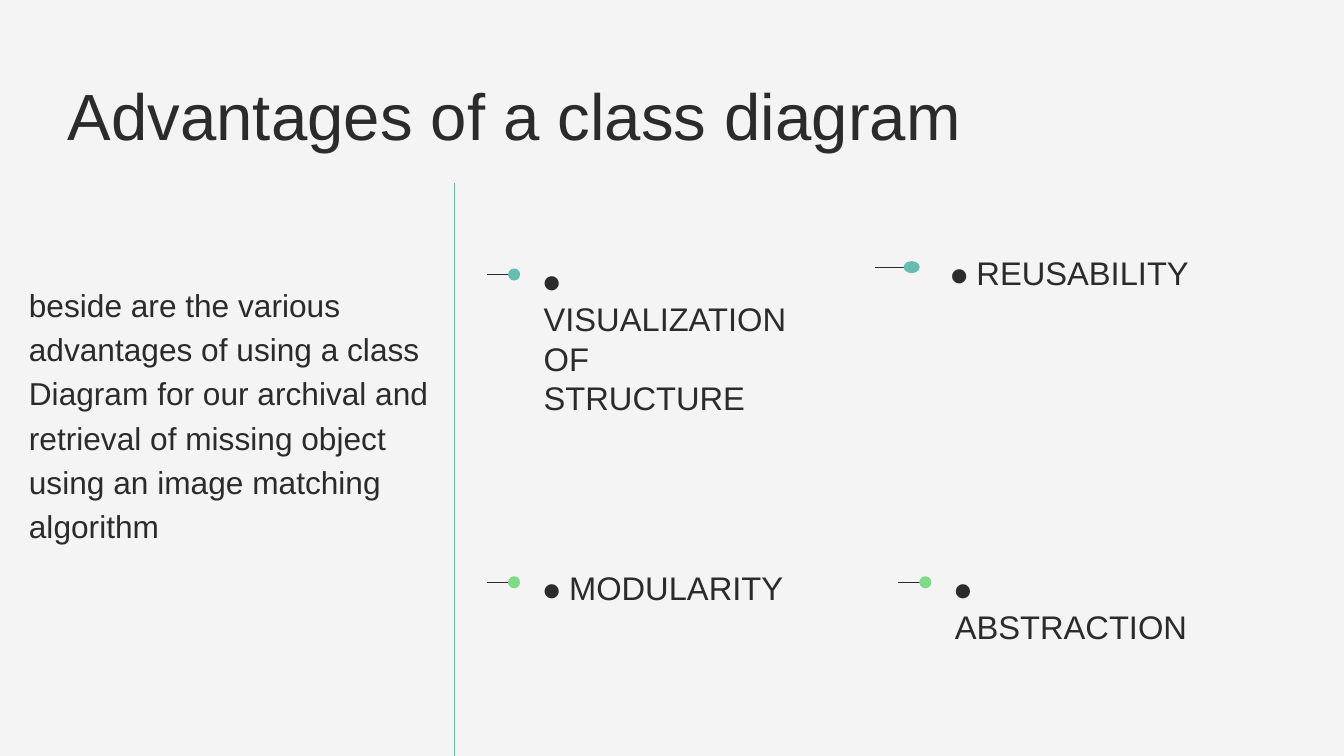
"""Build the slide on the advantages of a class diagram."""
from dataclasses import dataclass

from lxml import etree
from pptx import Presentation
from pptx import util as u
from pptx.dml.color import RGBColor
from pptx.enum import shapes, text
from pptx.oxml.ns import qn
from pptx.slide import Slide

COLUMNS, ROWS = 100, 45
WIDTH, HEIGHT = u.Inches(20), u.Inches(11.25)


@dataclass(frozen=True)
class Theme:
    background: RGBColor = RGBColor.from_string("F4F4F4")
    ink: RGBColor = RGBColor.from_string("2B2B2B")
    teal: RGBColor = RGBColor.from_string("68BDB2")
    green: RGBColor = RGBColor.from_string("80DB89")
    font: str = "Arial"
    title_size: float = 70
    title_leading: float = 77
    intro_size: float = 33.9
    intro_leading: float = 47.4
    advantage_size: float = 35
    advantage_leading: float = 42


@dataclass(frozen=True)
class Box:
    column: float
    row: float
    columns: float
    rows: float


@dataclass(frozen=True)
class Advantage:
    label: str
    column: float
    row: float
    color: RGBColor
    stretch: float = 1
    rows: float = 2.28


THEME = Theme()
ADVANTAGES = (
    Advantage("VISUALIZATION OF STRUCTURE", 36.2, 15.48, THEME.teal, rows=4.56),
    Advantage("MODULARITY", 36.2, 33.8, THEME.green),
    Advantage("REUSABILITY", 65.1, 15.04, THEME.teal, stretch=4 / 3),
    Advantage("ABSTRACTION", 66.8, 33.8, THEME.green),
)


def across(columns: float) -> u.Emu:
    return u.Emu(round(WIDTH * columns / COLUMNS))


def down(rows: float) -> u.Emu:
    return u.Emu(round(HEIGHT * rows / ROWS))


def place(box: Box) -> tuple[u.Emu, u.Emu, u.Emu, u.Emu]:
    return across(box.column), down(box.row), across(box.columns), down(box.rows)


def add_text(slide: Slide, words: str, box: Box, size: float, leading: float) -> None:
    frame = slide.shapes.add_textbox(*place(box)).text_frame
    frame.word_wrap = True
    frame.auto_size = text.MSO_AUTO_SIZE.SHAPE_TO_FIT_TEXT
    frame.margin_left = frame.margin_right = frame.margin_top = frame.margin_bottom = 0
    paragraph = frame.paragraphs[0]
    paragraph.line_spacing = u.Pt(leading)
    run = paragraph.add_run()
    run.text = words
    run.font.name = THEME.font
    run.font.size = u.Pt(size)
    run.font.color.rgb = THEME.ink


def add_line(slide: Slide, start: tuple[float, float], end: tuple[float, float],
             color: RGBColor, weight: float, arrow: bool = False) -> None:
    line = slide.shapes.add_connector(
        shapes.MSO_CONNECTOR.STRAIGHT,
        across(start[0]), down(start[1]), across(end[0]), down(end[1]))
    line.line.color.rgb = color
    line.line.width = u.Pt(weight)
    properties = line._element.spPr
    if arrow:
        etree.SubElement(properties.find(qn("a:ln")), qn("a:tailEnd"), type="arrow")
    etree.SubElement(properties, qn("a:effectLst"))


def add_dot(slide: Slide, box: Box, color: RGBColor) -> None:
    dot = slide.shapes.add_shape(shapes.MSO_SHAPE.OVAL, *place(box))
    dot.shadow.inherit = False
    dot.fill.solid()
    dot.fill.fore_color.rgb = color
    dot.line.fill.background()


def add_advantage(slide: Slide, item: Advantage) -> None:
    label = Box(item.column + 4.25 * item.stretch, item.row,
                18.65 * item.stretch, item.rows)
    add_text(slide, f"⦁ {item.label}", label,
             THEME.advantage_size, THEME.advantage_leading)
    level = item.row + 0.86
    add_line(slide, (item.column, level), (item.column + 2.4 * item.stretch, level),
             THEME.ink, 1, arrow=True)
    dot = Box(item.column + 1.6 * item.stretch, level - 0.36, 0.9 * item.stretch, 0.72)
    add_dot(slide, dot, item.color)


def main() -> None:
    deck = Presentation()
    deck.slide_width, deck.slide_height = WIDTH, HEIGHT
    slide = deck.slides.add_slide(deck.slide_layouts[6])
    slide.background.fill.solid()
    slide.background.fill.fore_color.rgb = THEME.background

    add_text(slide, "Advantages of a class diagram", Box(5.05, 4.84, 67.6, 4.32),
             THEME.title_size, THEME.title_leading)
    add_text(slide, "beside are the various advantages of using a class Diagram for our "
             "archival and retrieval of missing object using an image matching algorithm",
             Box(2.15, 16.64, 31.6, 15.64), THEME.intro_size, THEME.intro_leading)
    add_line(slide, (33.8, ROWS), (33.8, 10.88), THEME.teal, 0.75)
    for item in ADVANTAGES:
        add_advantage(slide, item)
    deck.save("out.pptx")


if __name__ == "__main__":
    main()
